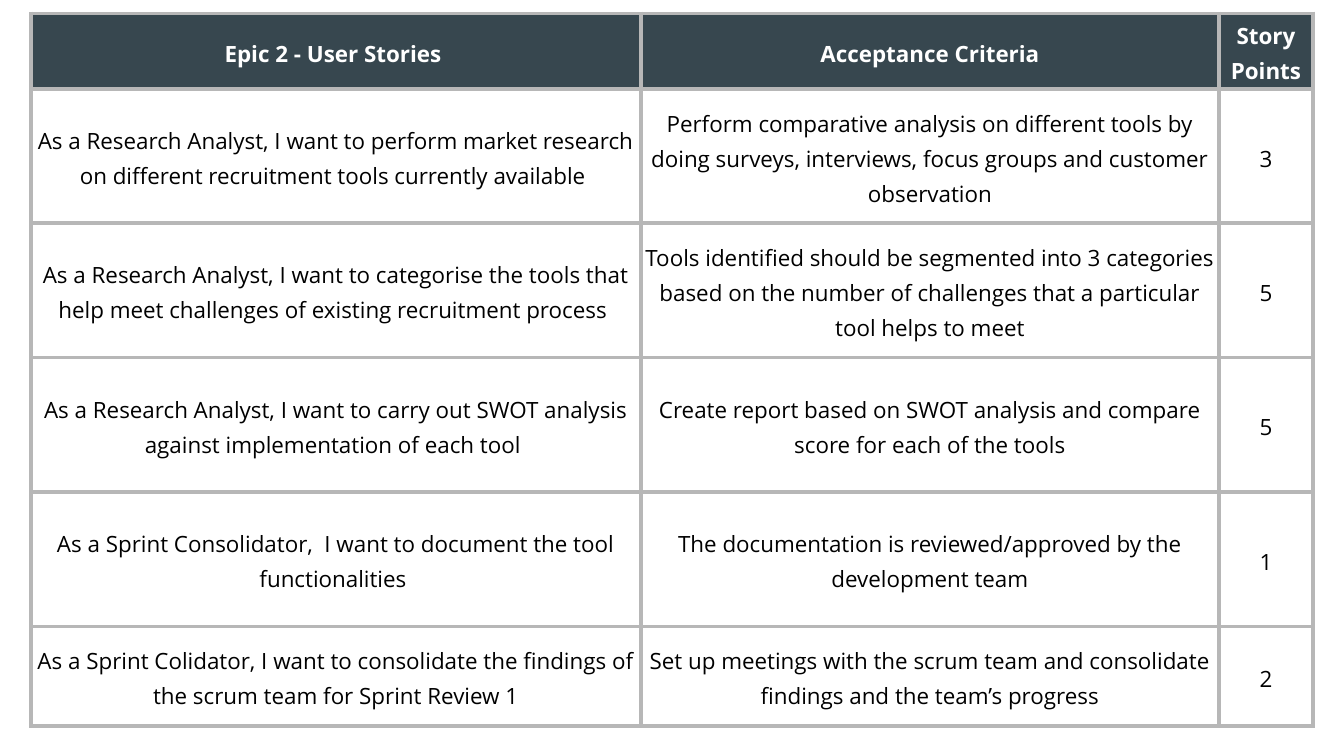
from dataclasses import dataclass
from typing import NamedTuple

import lxml.etree
import pptx
import pptx.dml.color
import pptx.enum.text
import pptx.oxml.ns
import pptx.slide
import pptx.table
import pptx.util

Inches = pptx.util.Inches


@dataclass(frozen=True)
class Theme:
    font: str = "Open Sans"
    text_size: float = 12
    line_spacing: float = 1.15
    border_width: float = 2.25
    border: str = "B7B7B7"
    header_fill: str = "37474F"
    header_text: str = "FFFFFF"
    body_text: str = "000000"


class Story(NamedTuple):
    description: str
    criteria: str
    points: str


THEME = Theme()
SLIDE_WIDTH = 10
SLIDE_HEIGHT = SLIDE_WIDTH * 9 / 16
COLUMN_WIDTHS = (4.54, 4.3, 0.7)
ROW_HEIGHTS = (0.53, 1, 1, 1, 1, 0.74)
CELL_FORMAT = {
    "margin_left": Inches(0.03),
    "margin_right": Inches(0.03),
    "margin_top": Inches(0.02),
    "margin_bottom": Inches(0.02),
    "vertical_anchor": pptx.enum.text.MSO_ANCHOR.MIDDLE,
}
PARAGRAPH_FORMAT = {
    "alignment": pptx.enum.text.PP_ALIGN.CENTER,
    "line_spacing": THEME.line_spacing,
}

HEADER = Story("Epic 2 - User Stories ", "Acceptance Criteria", "Story Points")
STORIES = (
    Story(
        "As a Research Analyst, I want to perform market research on different "
        "recruitment tools currently available ",
        "Perform comparative analysis on different tools by doing surveys, "
        "interviews, focus groups and customer observation",
        "3",
    ),
    Story(
        "As a Research Analyst, I want to categorise the tools that help meet "
        "challenges of existing recruitment process ",
        "Tools identified should be segmented into 3 categories based on the "
        "number of challenges that a particular tool helps to meet",
        "5",
    ),
    Story(
        "As a Research Analyst, I want to carry out SWOT analysis against "
        "implementation of each tool ",
        "Create report based on SWOT analysis and compare score for each of the tools",
        "5",
    ),
    Story(
        "As a Sprint Consolidator,  I want to document the tool functionalities ",
        "The documentation is reviewed/approved by the development team",
        "1",
    ),
    Story(
        "As a Sprint Colidator, I want to consolidate the findings of the scrum "
        "team for Sprint Review 1",
        "Set up meetings with the scrum team and consolidate findings and the "
        "team’s progress",
        "2",
    ),
)


def rgb(color: str) -> pptx.dml.color.RGBColor:
    return pptx.dml.color.RGBColor.from_string(color)


def apply_format(target: object, values: dict) -> None:
    for name, value in values.items():
        setattr(target, name, value)


def add_borders(cell: pptx.table._Cell) -> None:
    """Line all four sides; call before filling, as lines precede the fill in XML."""
    qn = pptx.oxml.ns.qn
    properties = cell._tc.get_or_add_tcPr()
    for side in ("lnL", "lnR", "lnT", "lnB"):
        line = lxml.etree.SubElement(
            properties, qn(f"a:{side}"), w=str(pptx.util.Pt(THEME.border_width))
        )
        fill = lxml.etree.SubElement(line, qn("a:solidFill"))
        lxml.etree.SubElement(fill, qn("a:srgbClr"), val=THEME.border)


def draw_cell(cell: pptx.table._Cell, text: str, is_header: bool) -> None:
    apply_format(cell, CELL_FORMAT)
    add_borders(cell)
    if is_header:
        cell.fill.solid()
        cell.fill.fore_color.rgb = rgb(THEME.header_fill)
    else:
        cell.fill.background()
    cell.text = text
    paragraph = cell.text_frame.paragraphs[0]
    apply_format(paragraph, PARAGRAPH_FORMAT)
    font = paragraph.runs[0].font
    apply_format(
        font,
        {"name": THEME.font, "size": pptx.util.Pt(THEME.text_size), "bold": is_header},
    )
    font.color.rgb = rgb(THEME.header_text if is_header else THEME.body_text)


def draw_story_table(slide: pptx.slide.Slide) -> None:
    table = slide.shapes.add_table(
        len(ROW_HEIGHTS), len(COLUMN_WIDTHS), Inches(0.23), Inches(0.1),
        Inches(sum(COLUMN_WIDTHS)), Inches(sum(ROW_HEIGHTS)),
    ).table
    apply_format(table, {"first_row": False, "horz_banding": False})
    for column, width in zip(table.columns, COLUMN_WIDTHS):
        column.width = Inches(width)
    for row, height in zip(table.rows, ROW_HEIGHTS):
        row.height = Inches(height)
    for row_index, story in enumerate((HEADER, *STORIES)):
        for column_index, text in enumerate(story):
            draw_cell(table.cell(row_index, column_index), text, row_index == 0)


def main() -> None:
    presentation = pptx.Presentation()
    presentation.slide_width = Inches(SLIDE_WIDTH)
    presentation.slide_height = Inches(SLIDE_HEIGHT)
    slide = presentation.slides.add_slide(presentation.slide_layouts[6])
    draw_story_table(slide)
    presentation.save("out.pptx")


if __name__ == "__main__":
    main()
